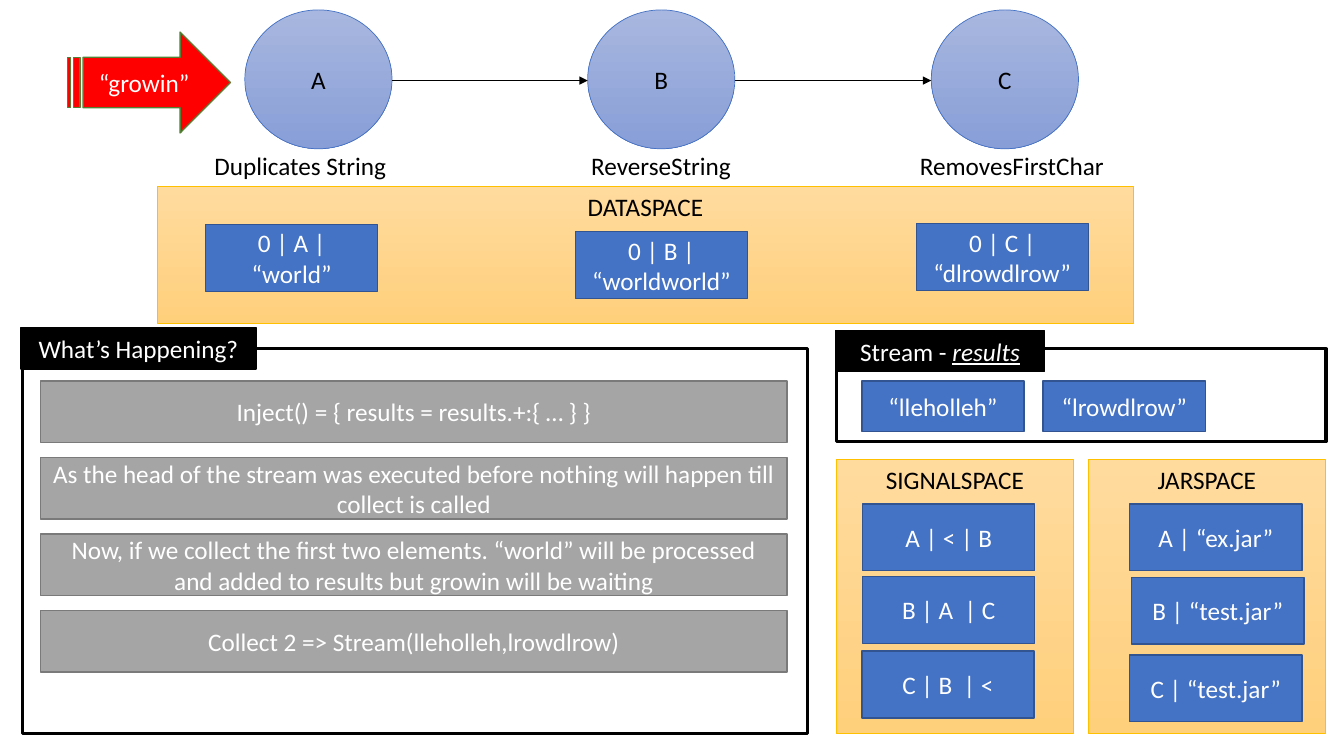
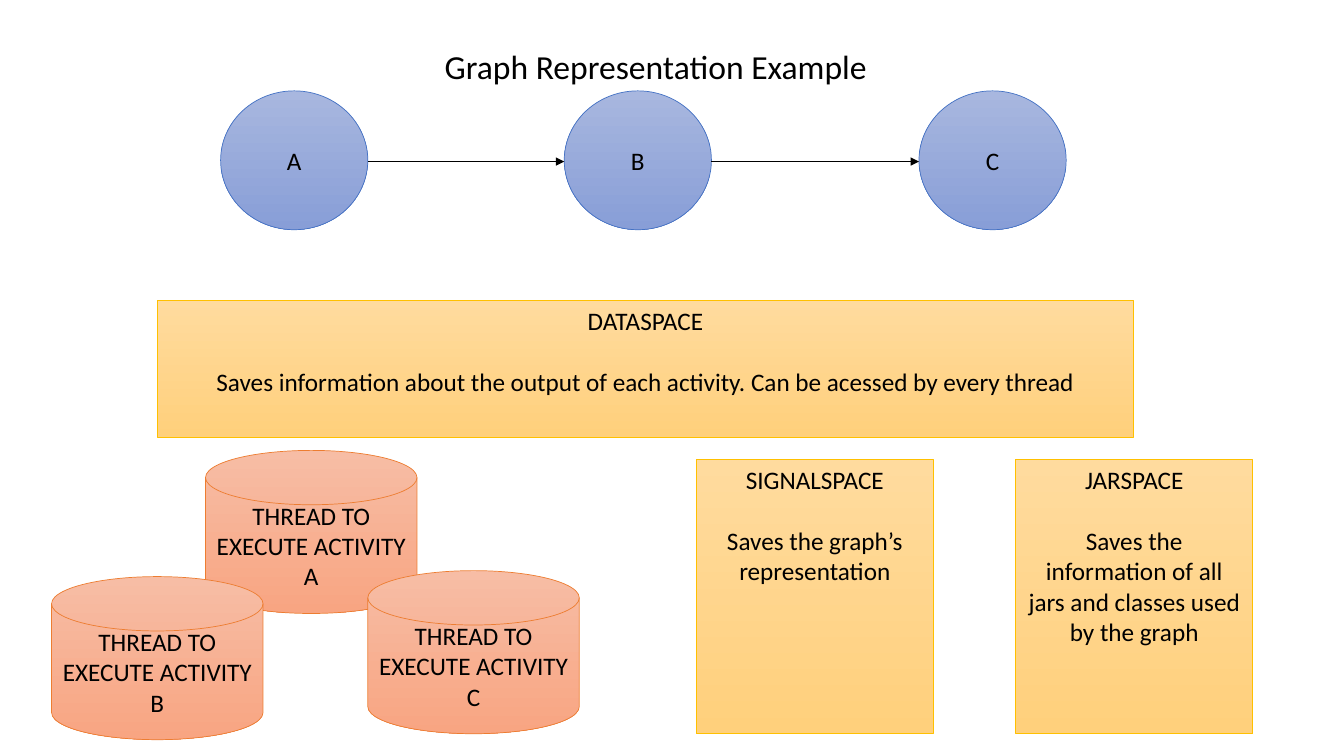
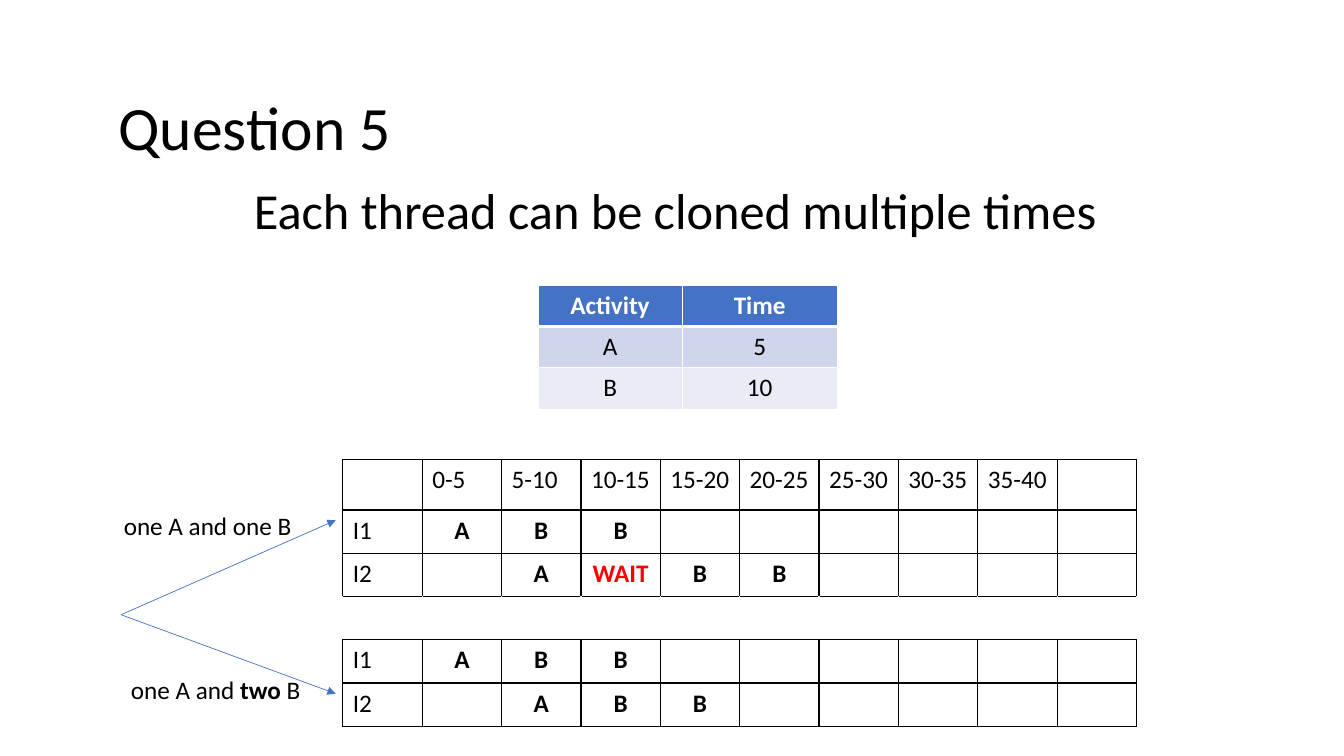
"""Build three slides on an activity graph, its data spaces and cloned threads."""
from lxml.etree import SubElement
from pptx import Presentation
from pptx.dml.color import RGBColor
from pptx.enum.shapes import MSO_CONNECTOR, MSO_SHAPE
from pptx.enum.text import MSO_ANCHOR, PP_ALIGN
from pptx.oxml import parse_xml
from pptx.oxml.ns import nsdecls, qn
from pptx.util import Cm, Pt

rgb = RGBColor.from_string
FONT = "Calibri"
BLACK, WHITE, BLUE, RED = "000000", "FFFFFF", "4472C4", "FF0000"
MID, TOP = MSO_ANCHOR.MIDDLE, MSO_ANCHOR.TOP
LEFT, CENTER = PP_ALIGN.LEFT, PP_ALIGN.CENTER
RECT = MSO_SHAPE.RECTANGLE

NODE = (("A8B7DF", "889ED7"), BLUE, 0.5, BLACK, MID)
SPACE = (("FFDB9E", "FFD07C"), "FFC000", 0.5, BLACK, TOP)
DISK = (("F7BDA5", "F8A582"), "ED7D31", 0.5, BLACK, MID)
ENTRY = (BLUE, "325491", 1, WHITE, MID)
STEP = ("A5A5A5", "7A7A7A", 1, WHITE, MID)
INPUT = (RED, "538035", 1, WHITE, MID)
PANEL = (WHITE, BLACK, 2.25, BLACK, MID)
TAB = (BLACK, BLACK, 1, WHITE, MID)
PLAIN = (None, None, 0, BLACK, TOP)
TITLE = (None, None, 0, BLACK, MID)


def box(slide, kind, at, text, look, size=18, align=CENTER):
    """Add a styled shape, or a text box if kind is None; return its paragraphs."""
    fill, edge, width, ink, anchor = look
    area = [Cm(n) for n in at]
    if kind is None:
        item = slide.shapes.add_textbox(*area)
    else:
        item = slide.shapes.add_shape(kind, *area)
        item.shadow.inherit = False
        item.line.color.rgb = rgb(edge)
        item.line.width = Pt(width)
        if isinstance(fill, tuple):
            item.fill.gradient()
            item.fill.gradient_angle = 270
            for stop, tone in zip(item.fill.gradient_stops, fill):
                stop.color.rgb = rgb(tone)
        else:
            item.fill.solid()
            item.fill.fore_color.rgb = rgb(fill)
    frame = item.text_frame
    frame.word_wrap = True
    frame.vertical_anchor = anchor
    frame.text = text
    for para in frame.paragraphs:
        para.alignment = align
        para.font.name = FONT
        para.font.size = Pt(size)
        para.font.color.rgb = rgb(ink)
    return frame.paragraphs


def link(slide, start, end, tone):
    """Draw a thin arrow from start to end."""
    wire = slide.shapes.add_connector(
        MSO_CONNECTOR.STRAIGHT, *[Cm(n) for n in start + end])
    wire.line.color.rgb = rgb(tone)
    wire.line.width = Pt(0.5)
    SubElement(wire.get_or_add_ln(), qn("a:tailEnd"), type="triangle")
    SubElement(wire._element.spPr, qn("a:effectLst"))


deck = Presentation()
deck.slide_width, deck.slide_height = Cm(33.87), Cm(19.05)
flow, graph, clone = [deck.slides.add_slide(deck.slide_layouts[6]) for _ in range(3)]

SIDE = 3.71
for slide, top, lefts in [(flow, 0.25, (6.17, 14.81, 23.47)),
                          (graph, 2.29, (5.56, 14.22, 23.16))]:
    for name, left in zip("ABC", lefts):
        box(slide, MSO_SHAPE.OVAL, (left, top, SIDE, 3.5), name, NODE)
    for left, right in zip(lefts, lefts[1:]):
        link(slide, (left + SIDE, top + 1.78), (right, top + 1.78), BLACK)

WIDE, TALL = (24.61, 3.45), (5.97, 6.91)
for slide, spot, size, text in [
        (flow, (3.96, 4.7), WIDE, "DATASPACE"),
        (flow, (21.08, 11.58), TALL, "SIGNALSPACE"),
        (flow, (27.43, 11.58), TALL, "JARSPACE"),
        (graph, (3.96, 7.57), WIDE, "DATASPACE\nSaves information about the output of "
         "each activity. Can be acessed by every thread"),
        (graph, (17.55, 11.58), TALL, "SIGNALSPACE\nSaves the graph’s representation"),
        (graph, (25.6, 11.58), TALL, "JARSPACE\nSaves the information of all jars "
         "and classes used by the graph")]:
    for para in box(slide, RECT, spot + size, text, SPACE)[1:]:
        para.space_before = Pt(22)

box(flow, MSO_SHAPE.STRIPED_RIGHT_ARROW, (1.7, 0.81, 4.11, 2.54), "“growin”", INPUT)
for left, text in [(4.57, "Duplicates String"), (13.66, "ReverseString"),
                   (22.5, "RemovesFirstChar")]:
    box(flow, None, (left, 3.66, 6, 1.02), text, PLAIN)

for at in [(0.56, 8.79, 19.79, 9.7), (21.08, 8.79, 12.34, 2.34)]:
    box(flow, RECT, at, "", PANEL)
box(flow, RECT, (0.53, 8.26, 5.92, 1.04), "What’s Happening?", TAB)
stream = box(flow, RECT, (21.06, 8.33, 5.26, 1.04), "Stream - ", TAB)[0].add_run()
stream.text = "results"
stream.font.italic = stream.font.underline = True

for left, top, text in [
        (5.18, 5.66, "0 | A | “world”"),
        (14.5, 5.84, "0 | B | “worldworld”"),
        (23.09, 5.64, "0 | C | “dlrowdlrow”"),
        (21.74, 12.7, "A | < | B"),
        (21.74, 14.53, "B | A  | C"),
        (21.72, 16.41, "C | B  | <"),
        (28.47, 12.7, "A | “ex.jar”"),
        (28.52, 14.55, "B | “test.jar”"),
        (28.47, 16.51, "C | “test.jar”")]:
    box(flow, RECT, (left, top, 4.34, 1.68), text, ENTRY)
for left, text in [(21.72, "“lleholleh”"), (26.29, "“lrowdlrow”")]:
    box(flow, RECT, (left, 9.6, 4.09, 1.27), text, ENTRY)

for i, text in enumerate([
        "Inject() = { results = results.+:{ … } }",
        "As the head of the stream was executed before nothing will happen till "
        "collect is called",
        "Now, if we collect the first two elements. “world” will be processed and "
        "added to results but growin will be waiting",
        "Collect 2 => Stream(lleholleh,lrowdlrow)"]):
    box(flow, RECT, (1.02, 9.6 + 1.93 * i, 18.82, 1.55), text, STEP)

box(graph, None, (10.49, 1.02, 12.07, 1.27), "Graph Representation Example", PLAIN, 24)
for name, left, top in [("A", 5.18, 11.35), ("B", 1.3, 14.53), ("C", 9.27, 14.38)]:
    box(graph, MSO_SHAPE.FLOWCHART_MAGNETIC_DISK, (left, top, 5.33, 4.11),
        f"THREAD TO EXECUTE ACTIVITY {name}", DISK)

head = box(clone, None, (2.74, 1.45, 29.21, 3.68), "Question 5", TITLE, 44, LEFT)
head[0].line_spacing = 0.9
box(clone, None, (1.6, 4.39, 30.84, 5.89), "Each thread can be cloned multiple times",
    PLAIN, 36)
for top in (13.11, 17.48):
    link(clone, (3.05, 15.49), (8.46, top), BLUE)
box(clone, None, (2.87, 12.73, 4.8, 1.02), "one A and one B", PLAIN, align=LEFT)
pair = box(clone, None, (3.05, 16.87, 5.41, 1.02), "one A and ", PLAIN, align=LEFT)[0]
for text, bold in [("two ", True), ("B", False)]:
    run = pair.add_run()
    run.text, run.font.bold = text, bold

TIMES = ["Activity,Time", "A,5", "B,10"]
PLAN = [",0-5,5-10,10-15,15-20,20-25,25-30,30-35,35-40",
        "I1,A,B,B", "I2,,A,WAIT,B,B", "", "I1,A,B,B", "I2,,A,B,B"]
for left, top, cols, rows, lines, edge, fills in [
        (13.56, 7.19, [3.63, 3.91], [1.04] * 3, TIMES, WHITE, [BLUE, "CFD5EA", "E9EBF5"]),
        (8.64, 11.58, [2] * 10, [1.27] + [1.09] * 5, PLAN, BLACK, None)]:
    grid = clone.shapes.add_table(len(rows), len(cols), Cm(left), Cm(top),
                                  Cm(sum(cols)), Cm(sum(rows))).table
    grid.first_row = grid.horz_banding = False
    for col, wide in zip(grid.columns, cols):
        col.width = Cm(wide)
    for r, line in enumerate(lines):
        grid.rows[r].height = Cm(rows[r])
        words = line.split(",")
        for c in range(len(cols)):
            cell = grid.cell(r, c)
            word = words[c] if c < len(words) else ""
            cell.text = word
            para = cell.text_frame.paragraphs[0]
            para.alignment = CENTER if fills or r * c else LEFT
            font = para.font
            font.name, font.size = FONT, Pt(18)
            font.bold = r == 0 if fills else r * c > 0
            ink = WHITE if fills and r == 0 else RED if word == "WAIT" else BLACK
            font.color.rgb = rgb(ink)
            if fills:
                cell.fill.solid()
                cell.fill.fore_color.rgb = rgb(fills[r])
            else:
                cell.fill.background()
            for i, tag in enumerate("LRTB" if line else "TB"):
                thick = fills and (r, tag) in [(0, "B"), (1, "T")]
                cell._tc.get_or_add_tcPr().insert(i, parse_xml(
                    f'<a:ln{tag} {nsdecls("a")} w="{Pt(3 if thick else 1)}"><a:solidFill>'
                    f'<a:srgbClr val="{edge}"/></a:solidFill></a:ln{tag}>'))

deck.save("out.pptx")
